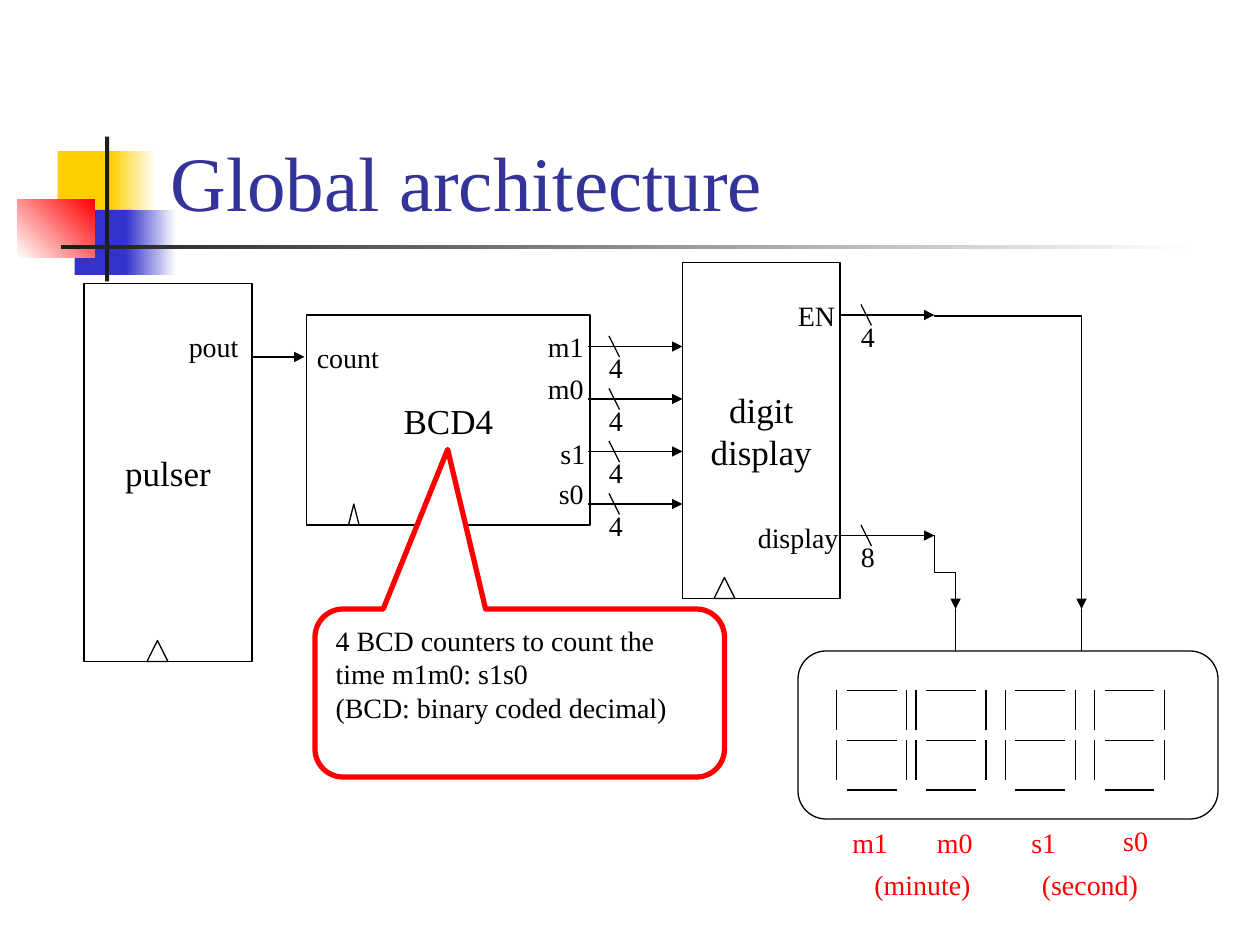
from lxml.etree import SubElement
from pptx import Presentation
from pptx.dml.color import RGBColor
from pptx.enum.shapes import MSO_CONNECTOR, MSO_SHAPE
from pptx.enum.text import MSO_ANCHOR, MSO_AUTO_SIZE, PP_ALIGN
from pptx.oxml.ns import qn
from pptx.util import Inches, Pt

BLACK = RGBColor(0x00, 0x00, 0x00)
WHITE = RGBColor(0xFF, 0xFF, 0xFF)
RED = RGBColor(0xFF, 0x00, 0x00)
YELLOW = RGBColor(0xFF, 0xCF, 0x01)
BLUE = RGBColor(0x33, 0x33, 0xCC)
CHARCOAL = RGBColor(0x1C, 0x1C, 0x1C)
TITLE_BLUE = RGBColor(0x33, 0x33, 0x99)
FONT = "Times New Roman"


def grid(count):
    """Length of a number of grid cells, twelve to the inch."""
    return Inches(count / 12)


def write(frame, text, size=16, color=BLACK, align=PP_ALIGN.LEFT,
          anchor=MSO_ANCHOR.TOP, wrap=False):
    frame.word_wrap = wrap
    frame.vertical_anchor = anchor
    for index, line in enumerate(text.split("\n")):
        para = frame.add_paragraph() if index else frame.paragraphs[0]
        para.alignment = align
        span = para.add_run()
        span.text = line
        span.font.name = FONT
        span.font.size = Pt(size)
        span.font.color.rgb = color


class Diagram:
    """Draws on one page of 120 columns by 90 rows."""

    def __init__(self, deck):
        self.page = deck.slides.add_slide(deck.slide_layouts[6])
        self.shapes = self.page.shapes

    def shape(self, kind, col, row, cols, rows, line=BLACK, weight=0.75):
        shape = self.shapes.add_shape(kind, grid(col), grid(row), grid(cols), grid(rows))
        shape.shadow.inherit = False
        shape.fill.background()
        if line is None:
            shape.line.fill.background()
        else:
            shape.line.color.rgb = line
            shape.line.width = Pt(weight)
        return shape

    def band(self, col, row, cols, rows, start, end=None, angle=0):
        fill = self.shape(MSO_SHAPE.RECTANGLE, col, row, cols, rows, line=None).fill
        if end is None:
            fill.solid()
            fill.fore_color.rgb = start
            return
        fill.gradient()
        fill.gradient_angle = angle
        for stop, color in zip(fill.gradient_stops, (start, end)):
            stop.color.rgb = color

    def text(self, text, col, row, cols, rows=4.4, **style):
        box = self.shapes.add_textbox(grid(col), grid(row), grid(cols), grid(rows))
        write(box.text_frame, text, **style)
        return box

    def label(self, text, col, row, cols, color=BLACK):
        box = self.text(text, col, row, cols, color=color)
        box.text_frame.auto_size = MSO_AUTO_SIZE.SHAPE_TO_FIT_TEXT

    def line(self, col, row, end_col, end_row, arrow=False, kind=MSO_CONNECTOR.STRAIGHT):
        line = self.shapes.add_connector(kind, grid(col), grid(row), grid(end_col), grid(end_row))
        line.line.color.rgb = BLACK
        line.line.width = Pt(0.75)
        properties = line._element.spPr
        if arrow:
            SubElement(properties.find(qn("a:ln")), qn("a:tailEnd"), type="triangle")
        SubElement(properties, qn("a:effectLst"))
        return line

    def elbow(self, col, row, end_col, end_row, bend):
        """Arrow that goes down, across and down: a flipped elbow turned by 270 degrees."""
        middle_col, middle_row = (col + end_col) / 2, (row + end_row) / 2
        across, down = (end_col - col) / 2, (end_row - row) / 2
        line = self.line(middle_col + down, middle_row - across,
                         middle_col - down, middle_row + across, True, MSO_CONNECTOR.ELBOW)
        properties = line._element.spPr
        properties.find(qn("a:xfrm")).set("rot", str(270 * 60000))
        values = properties.find(qn("a:prstGeom")).find(qn("a:avLst"))
        SubElement(values, qn("a:gd"), name="adj1", fmla=f"val {round(bend * 100000)}")

    def block(self, text, col, row, cols, rows, clock_col, clock_cols=2):
        box = self.shape(MSO_SHAPE.RECTANGLE, col, row, cols, rows)
        write(box.text_frame, text, size=20, align=PP_ALIGN.CENTER, anchor=MSO_ANCHOR.MIDDLE)
        self.shape(MSO_SHAPE.ISOSCELES_TRIANGLE, clock_col, row + rows - 2, clock_cols, 2)

    def bus(self, width, col, row):
        self.line(col, row, col + 9, row, arrow=True)
        self.line(col + 2, row - 1, col + 3, row + 1)
        self.label(width, col + 0.8, row - 0.2, 3.8)

    def digit(self, col, row, cols=6.65, step=4.75, gap=0.95):
        for level in range(3):
            self.line(col + gap, row + level * step, col + cols - gap, row + level * step)
        for level in range(2):
            top = row + level * step
            for side in (col, col + cols):
                self.line(side, top, side, top + step - gap)


def main():
    deck = Presentation()
    deck.slide_width, deck.slide_height = grid(120), grid(90)
    diagram = Diagram(deck)

    # Title ornament
    diagram.band(5.5, 14.4, 5.8, 6.2, YELLOW)
    diagram.band(10.5, 14.4, 4.35, 6.2, YELLOW, WHITE)
    diagram.band(7.1, 20, 5.5, 6.2, BLUE)
    diagram.band(12, 20, 4.8, 6.2, BLUE, WHITE)
    diagram.band(1.65, 19, 7.35, 5.55, WHITE, RED, angle=45)
    diagram.band(10, 13, 0.4, 13.8, CHARCOAL)
    diagram.band(5.8, 23.35, 108, 0.4, CHARCOAL, WHITE)
    diagram.text("Global architecture", 15.05, 3, 102.25, 19.2, size=44,
                 color=TITLE_BLUE, anchor=MSO_ANCHOR.BOTTOM, wrap=True)

    # Blocks and their ports
    diagram.block("pulser", 8, 27, 16, 36, clock_col=14)
    diagram.block("BCD4", 29.2, 30, 27, 20, clock_col=33.2, clock_cols=1)
    diagram.block("digit\ndisplay", 65, 25, 15, 32, clock_col=68)
    for port in (("pout", 16.8, 30.8, 7.3), ("count", 29, 31.85, 8.5),
                 ("m1", 51, 30.8, 6), ("m0", 51, 34.8, 6),
                 ("s1", 52.2, 41, 5), ("s0", 52.05, 44.8, 5),
                 ("EN", 74.8, 27.85, 6.2), ("display", 71, 49, 10.3)):
        diagram.label(*port)

    # Signals between blocks
    diagram.line(24, 34, 29, 34, arrow=True)
    for row in range(33, 49, 5):
        diagram.bus("4", 56, row)
    diagram.bus("4", 80, 30)
    diagram.bus("8", 80, 51)

    # Four-digit display
    for col in (79.7, 87.25, 95.75, 104.25):
        diagram.digit(col, 65.75)
    diagram.shape(MSO_SHAPE.ROUNDED_RECTANGLE, 76, 62, 40, 16)
    for col, row, bend in ((91, 51, 0.5), (103, 30, 0.004)):
        diagram.line(col, 62, col, 58)
        diagram.elbow(89, row, col, 58, bend)
    for caption in (("m1", 80, 78, 6), ("m0", 88.05, 78, 6),
                    ("s1", 97.05, 78, 5), ("s0", 105.8, 77.8, 5),
                    ("(minute)", 82.1, 82, 12), ("(second)", 98.05, 82, 12)):
        diagram.label(*caption, color=RED)

    # Callout on the counters
    callout = diagram.shape(MSO_SHAPE.ROUNDED_RECTANGULAR_CALLOUT, 30, 58, 39, 16, RED, 3)
    callout.fill.solid()
    callout.fill.fore_color.rgb = WHITE
    for index, value in enumerate((-0.176, -1.45, 0.167)):
        callout.adjustments[index] = value
    write(callout.text_frame, "4 BCD counters to count the time m1m0: s1s0\n"
          "(BCD: binary coded decimal)", wrap=True)

    deck.save("out.pptx")


if __name__ == "__main__":
    main()
